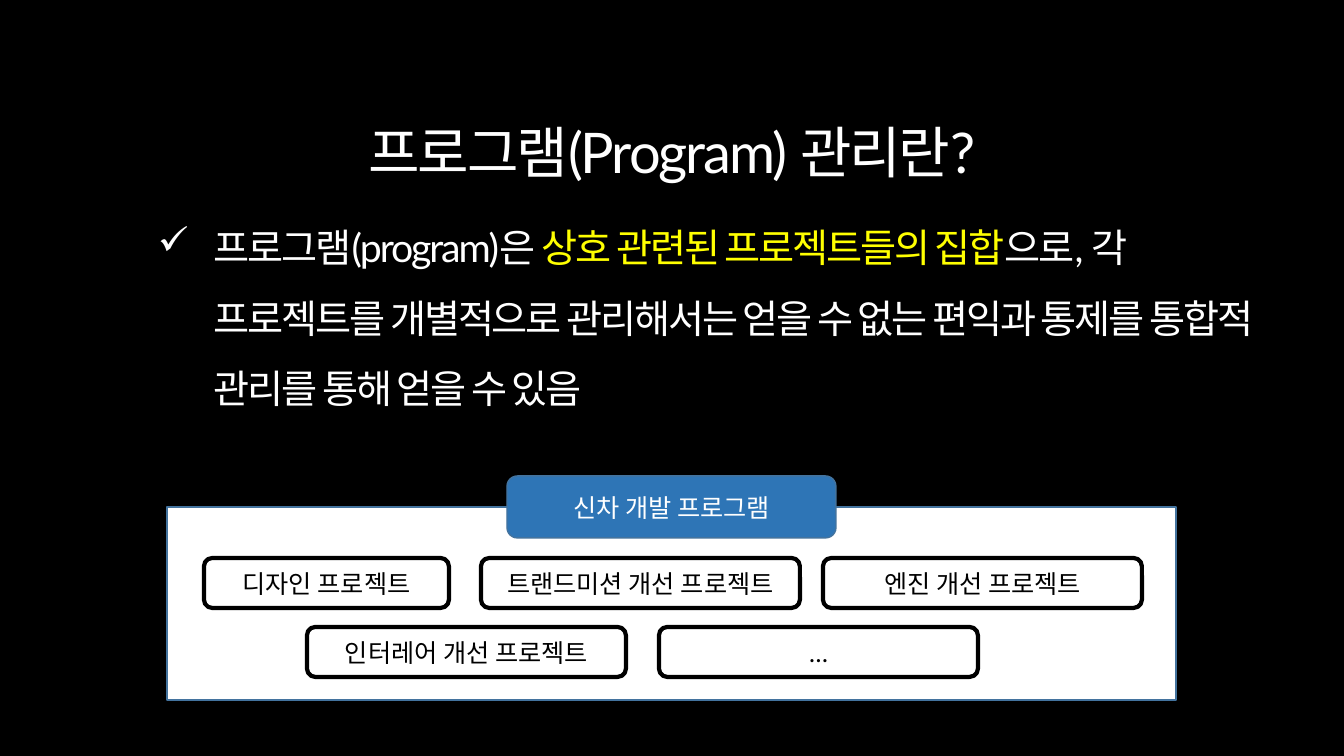
from lxml.etree import SubElement
from pptx import Presentation
from pptx.dml.color import RGBColor
from pptx.enum.shapes import MSO_SHAPE
from pptx.enum.text import MSO_ANCHOR, MSO_AUTO_SIZE, PP_ALIGN
from pptx.oxml.ns import qn
from pptx.util import Pt

COLORS = {"black": "000000", "white": "FFFFFF", "yellow": "FFFF00",
          "blue": "2E75B6", "edge": "43739E"}
SLIDE_SIZE = (1344, 756)
EMU_PER_PX = 914400 / 100.8
TIGHT = -150  # letter spacing, hundredths of a point

TITLE = "프로그램(Program) 관리란?"
DEFINITION = [
    ("프로그램(program)은 ", "white"),
    ("상호 관련된 프로젝트들의 집합", "yellow"),
    ("으로, 각 프로젝트를 개별적으로 관리해서는 얻을 수 없는 편익과 통제를 "
     "통합적 관리를 통해 얻을 수 있음", "white"),
]
PROGRAM = "신차 개발 프로그램"
# Each row: projects as (name, left, width)
PROJECT_ROWS = [
    [("디자인 프로젝트", 204, 245), ("트랜드미션 개선 프로젝트", 481, 319),
     ("엔진 개선 프로젝트", 823, 319)],
    [("인터레어 개선 프로젝트", 307, 319), ("…", 659, 319)],
]
ROWS_TOP, ROW_PITCH, PROJECT_HEIGHT = 558, 69, 50

TITLE_BOX = (350, 112, 644, 78)
DEFINITION_BOX = (148, 195, 1128, 224)
PANEL_BOX = (167, 507, 1009, 193)
PROGRAM_BOX = (507, 476, 329, 62)
INDENT = 56


def px(length):
    return round(length * EMU_PER_PX)


def place(box):
    return [px(length) for length in box]


def rgb(name):
    return RGBColor.from_string(COLORS[name])


def add_run(paragraph, text, size, color, spacing=None):
    run = paragraph.add_run()
    run.text = text
    for attribute, value in {"name": "Lato", "size": Pt(size), "bold": False}.items():
        setattr(run.font, attribute, value)
    run.font.color.rgb = rgb(color)
    if spacing:
        run._r.get_or_add_rPr().set("spc", str(spacing))


def format_frame(frame, **values):
    for attribute, value in values.items():
        setattr(frame, attribute, value)


def add_panel(shapes, preset, box, fill, edge, edge_width, text="", color="white"):
    panel = shapes.add_shape(preset, *place(box))
    panel.shadow.inherit = False
    panel.fill.solid()
    panel.fill.fore_color.rgb = rgb(fill)
    panel.line.color.rgb = rgb(edge)
    panel.line.width = Pt(edge_width)
    if text:
        format_frame(panel.text_frame, word_wrap=True, vertical_anchor=MSO_ANCHOR.MIDDLE)
        paragraph = panel.text_frame.paragraphs[0]
        paragraph.alignment = PP_ALIGN.CENTER
        add_run(paragraph, text, 18, color)


def add_title(slide):
    title = slide.shapes.title
    title.left, title.top, title.width, title.height = place(TITLE_BOX)
    format_frame(title.text_frame, word_wrap=False, vertical_anchor=MSO_ANCHOR.TOP,
                 auto_size=MSO_AUTO_SIZE.SHAPE_TO_FIT_TEXT)
    paragraph = title.text_frame.paragraphs[0]
    paragraph.alignment = PP_ALIGN.CENTER
    add_run(paragraph, TITLE, 40, "white", TIGHT)


def add_definition(slide):
    definition = slide.shapes.add_textbox(*place(DEFINITION_BOX))
    format_frame(definition.text_frame, word_wrap=True,
                 auto_size=MSO_AUTO_SIZE.SHAPE_TO_FIT_TEXT)
    paragraph = definition.text_frame.paragraphs[0]
    paragraph.line_spacing = 1.5
    properties = paragraph._p.get_or_add_pPr()
    properties.set("marL", str(px(INDENT)))
    properties.set("indent", str(-px(INDENT)))
    SubElement(properties, qn("a:buChar")).set("char", "✓")
    for text, color in DEFINITION:
        add_run(paragraph, text, 28, color, TIGHT)


def add_program(slide):
    add_panel(slide.shapes, MSO_SHAPE.RECTANGLE, PANEL_BOX, "white", "edge", 1)
    add_panel(slide.shapes, MSO_SHAPE.ROUNDED_RECTANGLE, PROGRAM_BOX, "blue", "edge", 1,
              PROGRAM)
    projects = slide.shapes.add_group_shape().shapes
    for row, entries in enumerate(PROJECT_ROWS):
        top = ROWS_TOP + row * ROW_PITCH
        for name, left, width in entries:
            add_panel(projects, MSO_SHAPE.ROUNDED_RECTANGLE,
                      (left, top, width, PROJECT_HEIGHT), "white", "black", 3, name, "black")


def main():
    deck = Presentation()
    deck.slide_width, deck.slide_height = place(SLIDE_SIZE)
    slide = deck.slides.add_slide(deck.slide_layouts.get_by_name("Title Only"))
    slide.background.fill.solid()
    slide.background.fill.fore_color.rgb = rgb("black")
    add_title(slide)
    add_definition(slide)
    add_program(slide)
    deck.save("out.pptx")


if __name__ == "__main__":
    main()
